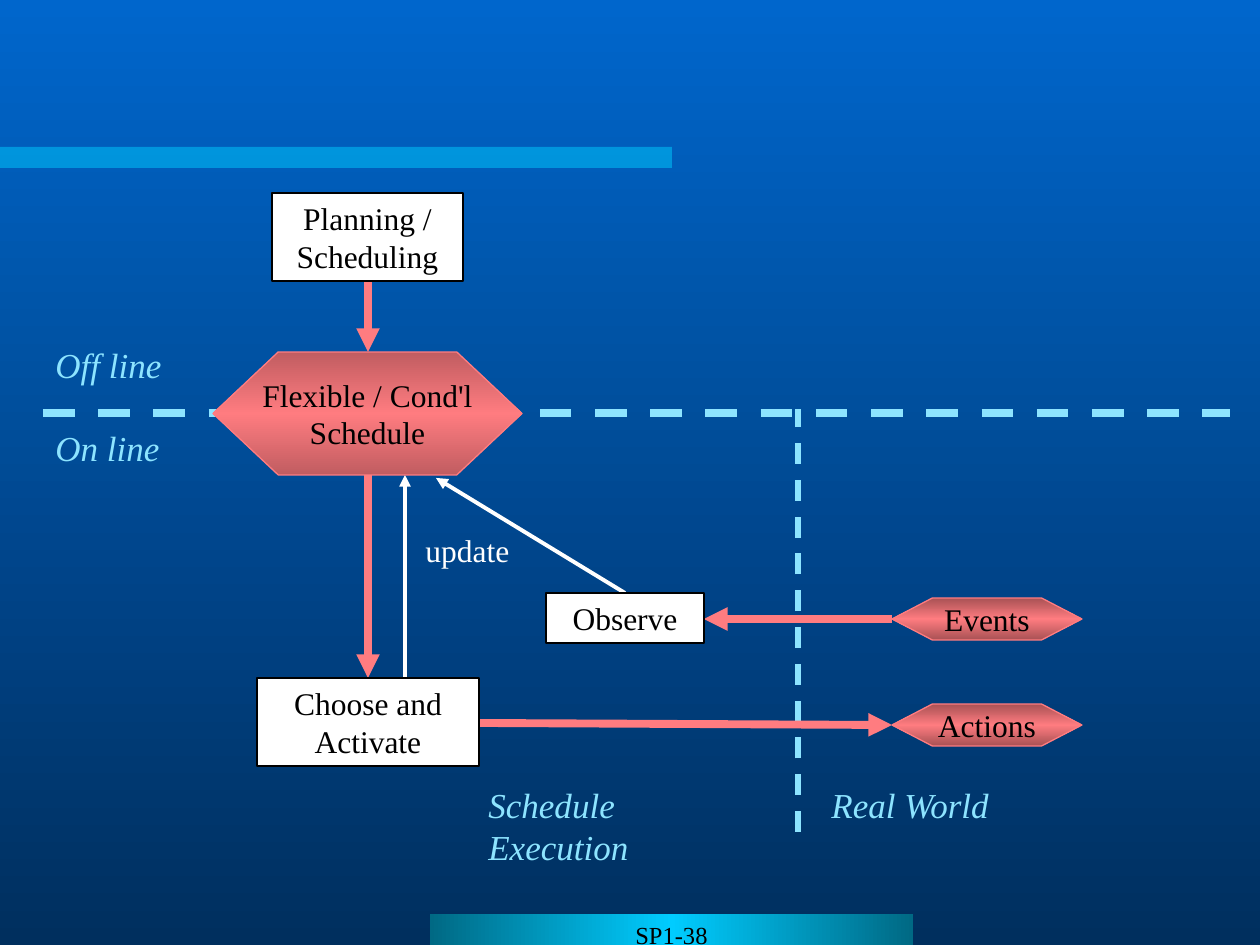
from copy import deepcopy

from lxml.etree import SubElement
from pptx import Presentation
from pptx.dml.color import RGBColor
from pptx.enum.dml import MSO_LINE
from pptx.enum.shapes import MSO_CONNECTOR, MSO_SHAPE
from pptx.enum.text import MSO_ANCHOR, PP_ALIGN
from pptx.oxml.ns import qn
from pptx.util import Pt

PX = 914400 / 126
FONT = "Times New Roman"
COLORS = {
    "sky": "0066CC", "deep": "002F5E", "cyan": "00CCFF", "teal": "006984",
    "coral": "FF7C80", "rust": "C15D61", "brick": "A85154",
    "pale": "8DE4FF", "white": "FFFFFF", "black": "000000",
}

BOXES = [
    ("Planning / Scheduling", (272, 193, 191, 88)),
    ("Choose and Activate", (257, 678, 222, 88)),
    ("Observe", (546, 593, 158, 50)),
]
HEXAGONS = [
    ("Flexible / Cond'l\nSchedule", (213, 352, 309, 123), 0.53, "rust"),
    ("Events", (892, 598, 190, 42), 0.96, "brick"),
    ("Actions", (892, 704, 190, 42), 0.96, "brick"),
]
LABELS = [
    ("Off line", (43, 337, 131, 55), 20, "pale", True),
    ("On line", (43, 420, 129, 55), 20, "pale", True),
    ("Schedule Execution", (476, 777, 300, 55), 20, "pale", True),
    ("Real World", (819, 777, 185, 55), 20, "pale", True),
    ("update", (413, 525, 109, 50), 18, "white", False),
]
DIVIDERS = [
    ((798, 832), (798, 409), 3),
    ((43, 413), (1230, 413), 4.5),
]
ARROWS = [
    ((368, 281), (368, 352), "coral", 4.5),
    ((368, 475), (368, 678), "coral", 4.5),
    ((479, 723), (892, 725), "coral", 4.5),
    ((892, 619), (704, 619), "coral", 4.5),
    ((625, 593), (436, 478), "white", 2.25),
    ((405, 678), (405, 475), "white", 2.25),
]


def px(*values):
    return [round(value * PX) for value in values]


def rgb(name):
    return RGBColor.from_string(COLORS[name])


def write(shape, text, size=18, color="black", italic=False, align=PP_ALIGN.CENTER,
          anchor=MSO_ANCHOR.TOP, wrap=True):
    frame = shape.text_frame
    frame.text = text
    frame.word_wrap = wrap
    frame.vertical_anchor = anchor
    for paragraph in frame.paragraphs:
        paragraph.alignment = align
        paragraph.font.name = FONT
        paragraph.font.size = Pt(size)
        paragraph.font.italic = italic
        paragraph.font.color.rgb = rgb(color)


def add_block(slide, kind, area, fill, line=None):
    shape = slide.shapes.add_shape(kind, *px(*area))
    shape.shadow.inherit = False
    shape.fill.solid()
    shape.fill.fore_color.rgb = rgb(fill)
    if line:
        shape.line.color.rgb = rgb(line)
        shape.line.width = Pt(0.75)
    else:
        shape.line.fill.background()
    return shape


def set_gradient(fill, first, second, angle):
    fill.gradient()
    fill.gradient_angle = angle
    for stop, color in zip(fill.gradient_stops, (first, second)):
        stop.color.rgb = rgb(color)


def set_band_gradient(shape, edge, middle, angle):
    set_gradient(shape.fill, edge, middle, angle)
    shape.fill.gradient_stops[1].position = 0.5
    stops = shape._element.spPr.find(qn("a:gradFill")).find(qn("a:gsLst"))
    last = deepcopy(stops[0])
    last.set("pos", "100000")
    stops.append(last)


def add_line(slide, start, end, color, width, dashed=False, arrow=False):
    connector = slide.shapes.add_connector(MSO_CONNECTOR.STRAIGHT, *px(*start, *end))
    connector.line.color.rgb = rgb(color)
    connector.line.width = Pt(width)
    if dashed:
        connector.line.dash_style = MSO_LINE.DASH
    if arrow:
        SubElement(connector.line._get_or_add_ln(), qn("a:tailEnd"), type="triangle")
    SubElement(connector._element.spPr, qn("a:effectLst"))


def main():
    presentation = Presentation()
    presentation.slide_width, presentation.slide_height = px(1260, 945)
    slide = presentation.slides.add_slide(presentation.slide_layouts[6])
    set_gradient(slide.background.fill, "sky", "deep", 270)

    title_bar = add_block(slide, MSO_SHAPE.RECTANGLE, (0, 147, 672, 21), "cyan")
    bar_color = title_bar._element.spPr.find(qn("a:solidFill"))[0]
    SubElement(bar_color, qn("a:alpha"), val="50000")

    footer = add_block(slide, MSO_SHAPE.RECTANGLE, (430, 914, 483, 31), "cyan")
    set_band_gradient(footer, "teal", "cyan", 0)
    write(footer, "SP1-38", size=14)

    for start, end, width in DIVIDERS:
        add_line(slide, start, end, "pale", width, dashed=True)
    for start, end, color, width in ARROWS:
        add_line(slide, start, end, color, width, arrow=True)

    for text, area in BOXES:
        write(add_block(slide, MSO_SHAPE.RECTANGLE, area, "white", "black"), text)

    for text, area, corner, edge in HEXAGONS:
        hexagon = add_block(slide, MSO_SHAPE.HEXAGON, area, "coral", "coral")
        hexagon.adjustments[0] = corner
        set_band_gradient(hexagon, edge, "coral", 270)
        write(hexagon, text, anchor=MSO_ANCHOR.MIDDLE, wrap=False)

    for text, area, size, color, italic in LABELS:
        label = slide.shapes.add_textbox(*px(*area))
        write(label, text, size=size, color=color, italic=italic,
              align=PP_ALIGN.LEFT, wrap=False)

    presentation.save("out.pptx")


if __name__ == "__main__":
    main()
